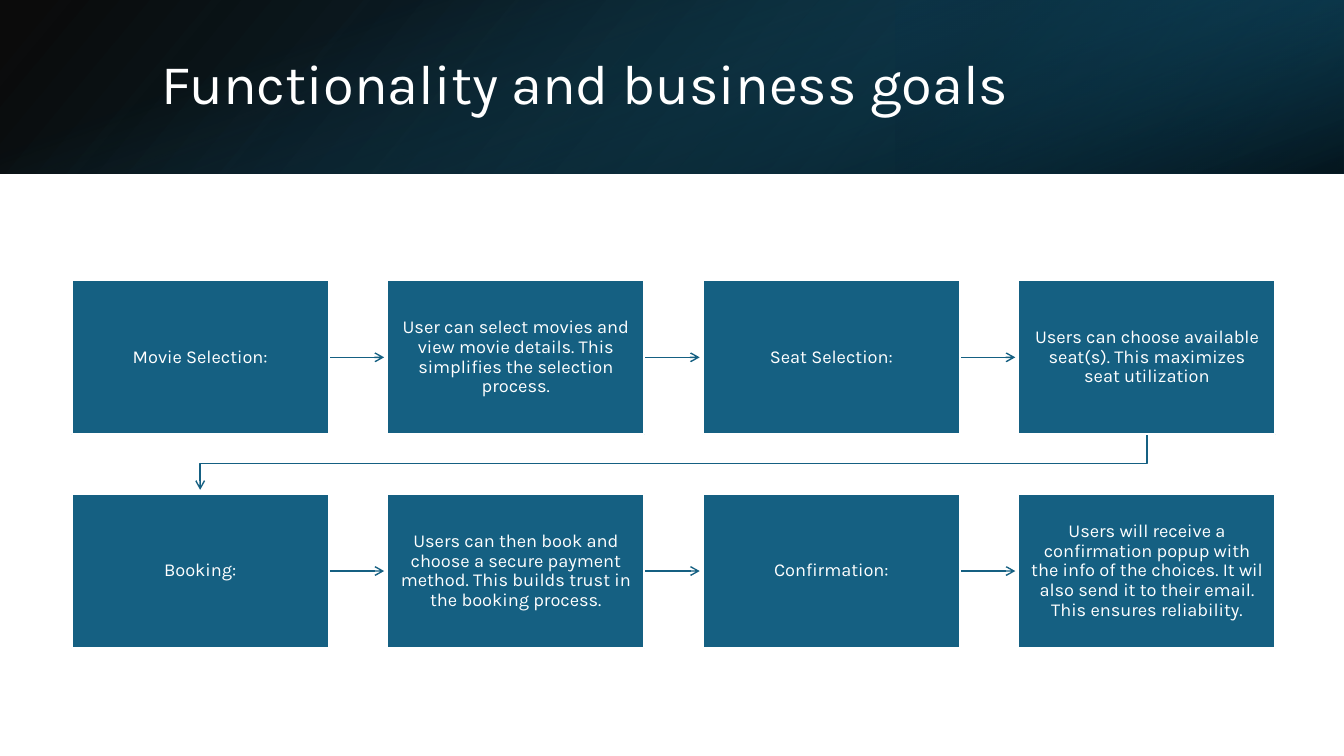
from dataclasses import dataclass

from lxml import etree
from pptx import Presentation
from pptx.dml.color import RGBColor
from pptx.enum.shapes import MSO_CONNECTOR, MSO_SHAPE
from pptx.enum.text import MSO_ANCHOR, MSO_AUTO_SIZE, PP_ALIGN
from pptx.oxml.ns import qn
from pptx.util import Inches, Pt

RECT = MSO_SHAPE.RECTANGLE
STRAIGHT = MSO_CONNECTOR.STRAIGHT
MIDDLE = MSO_ANCHOR.MIDDLE
NO_AUTOFIT = MSO_AUTO_SIZE.NONE
LEFT, CENTER = PP_ALIGN.LEFT, PP_ALIGN.CENTER


@dataclass(frozen=True)
class Theme:
    font: str = "Karla"
    blue: str = "156082"
    deep_blue: str = "104862"
    night_blue: str = "0B3041"
    black: str = "000000"
    white: str = "FFFFFF"
    title_size: float = 40
    step_size: float = 13
    border: float = 1.5
    arrow: float = 1


THEME = Theme()
SLIDE_W, SLIDE_H, HEADER_H = 13.33, 7.5, 1.72

# Step grid
GRID_X, GRID_Y = 0.71, 2.78
BOX_W, BOX_H = 2.55, 1.53
PITCH_X, PITCH_Y = 3.13, 2.12
ARROW_LEN = 0.55

STEPS = [
    ["Movie Selection:",
     "User can select movies and view movie details. "
     "This simplifies the selection process.",
     "Seat Selection:",
     "Users can choose available seat(s). This maximizes seat utilization"],
    ["Booking:",
     "Users can then book and choose a secure payment method. "
     "This builds trust in the booking process.",
     "Confirmation:",
     "Users will receive a confirmation popup with the info of the choices. "
     "It wil also send it to their email. This ensures reliability."],
]


def rgb(color):
    return RGBColor.from_string(color)


def write(tf, text, size, align):
    tf.word_wrap = True
    tf.auto_size = NO_AUTOFIT
    tf.vertical_anchor = MIDDLE
    p = tf.paragraphs[0]
    p.alignment = align
    p.line_spacing = 0.9
    r = p.add_run()
    r.text = text
    r.font.name = THEME.font
    r.font.size = Pt(size)
    r.font.color.rgb = rgb(THEME.white)


def add_rect(s, x, y, w, h):
    sp = s.shapes.add_shape(RECT, Inches(x), Inches(y), Inches(w), Inches(h))
    sp.shadow.inherit = False
    return sp


def add_gradient_band(s, x, w, clockwise_angle, stops):
    """Each stop is (position, colour, opacity in percent)."""
    sp = add_rect(s, x, 0, w, HEADER_H)
    sp.line.fill.background()
    sp.fill.gradient()
    sp.fill.gradient_angle = 360 - clockwise_angle
    for stop, (position, color, opacity) in zip(sp.fill.gradient_stops, stops):
        stop.position = position
        stop.color.rgb = rgb(color)
    for clr, (_, _, opacity) in zip(sp._element.spPr.iter(qn("a:srgbClr")), stops):
        etree.SubElement(clr, qn("a:alpha")).set("val", str(opacity * 1000))


def add_title(s, text):
    title = s.shapes.title
    title.left, title.top = Inches(1.5), Inches(0.38)
    title.width, title.height = Inches(10.98), Inches(0.96)
    write(title.text_frame, text, THEME.title_size, LEFT)
    # Bring the title in front of the header bands
    s.shapes._spTree.append(title._element)


def add_step(s, x, y, text):
    sp = add_rect(s, x, y, BOX_W, BOX_H)
    sp.fill.solid()
    sp.fill.fore_color.rgb = rgb(THEME.blue)
    sp.line.color.rgb = rgb(THEME.white)
    sp.line.width = Pt(THEME.border)
    tf = sp.text_frame
    tf.margin_left = tf.margin_right = Inches(0.12)
    tf.margin_top = tf.margin_bottom = Inches(0.13)
    write(tf, text, THEME.step_size, CENTER)


def style_arrow(shape):
    shape.line.color.rgb = rgb(THEME.blue)
    shape.line.width = Pt(THEME.arrow)
    etree.SubElement(shape.line._get_or_add_ln(), qn("a:tailEnd")).set("type", "arrow")


def add_arrow(s, x, y):
    cn = s.shapes.add_connector(
        STRAIGHT, Inches(x), Inches(y), Inches(x + ARROW_LEN), Inches(y))
    style_arrow(cn)
    etree.SubElement(cn._element.spPr, qn("a:effectLst"))


def add_row_return(s):
    """Arrow from the last step of the first row to the first of the second."""
    x_start = GRID_X + 3 * PITCH_X + BOX_W / 2
    x_end = GRID_X + BOX_W / 2
    y_start, y_bend, y_end = GRID_Y + BOX_H, 4.6, 4.86
    fb = s.shapes.build_freeform(Inches(x_start), Inches(y_start))
    fb.add_line_segments(
        [(Inches(x), Inches(y)) for x, y in
         ((x_start, y_bend), (x_end, y_bend), (x_end, y_end))], close=False)
    sp = fb.convert_to_shape()
    sp.fill.background()
    style_arrow(sp)
    sp.shadow.inherit = False


def main():
    prs = Presentation()
    prs.slide_width, prs.slide_height = Inches(SLIDE_W), Inches(SLIDE_H)
    s = prs.slides.add_slide(prs.slide_layouts[5])

    # Header: three translucent gradients
    add_gradient_band(s, 0, SLIDE_W, 40,
                      [(0, THEME.black, 96), (1, THEME.deep_blue, 100)])
    add_gradient_band(s, SLIDE_W * 2 / 3, SLIDE_W / 3, 40,
                      [(0.19, THEME.night_blue, 68), (1, THEME.blue, 79)])
    add_gradient_band(s, 0, SLIDE_W, 70,
                      [(0.23, THEME.blue, 0), (0.99, THEME.black, 74)])
    add_title(s, "Functionality and business goals")

    # Process steps and the arrows between them
    add_row_return(s)
    for row, texts in enumerate(STEPS):
        y = GRID_Y + row * PITCH_Y
        for col, text in enumerate(texts):
            x = GRID_X + col * PITCH_X
            if col < len(texts) - 1:
                add_arrow(s, x + BOX_W, y + BOX_H / 2)
            add_step(s, x, y, text)

    prs.save("out.pptx")


if __name__ == "__main__":
    main()
